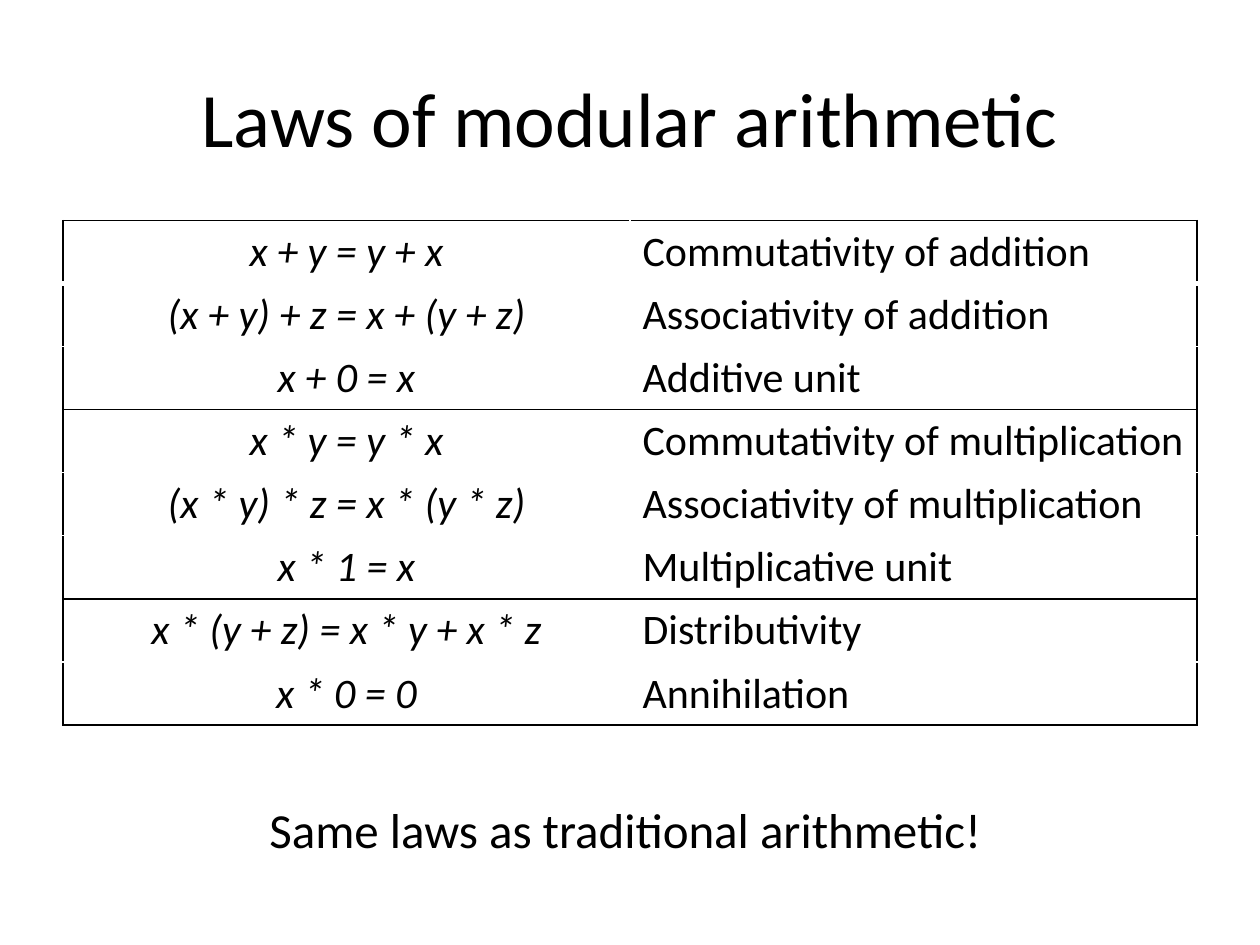
from lxml.etree import SubElement
from pptx import Presentation
from pptx.dml.color import RGBColor
from pptx.enum.text import MSO_ANCHOR as Anchor, PP_ALIGN as Align
from pptx.oxml.ns import qn
from pptx.util import Inches, Pt

TITLE = "Laws of modular arithmetic"
REMARK = "Same laws as traditional arithmetic!"
LAW_GROUPS = [
    [("x + y = y + x", "Commutativity of addition"),
     ("(x + y) + z = x + (y + z)", "Associativity of addition"),
     ("x + 0 = x", "Additive unit")],
    [("x * y = y * x", "Commutativity of multiplication"),
     ("(x * y) * z = x * (y * z)", "Associativity of multiplication"),
     ("x * 1 = x", "Multiplicative unit")],
    [("x * (y + z) = x * y + x * z", "Distributivity"),
     ("x * 0 = 0", "Annihilation")],
]
FONT, INK, PAPER = "Calibri", "000000", "FFFFFF"
WIDTH, HEIGHT = 10, 7.5
MARGIN = WIDTH * 0.05
CONTENT_WIDTH = WIDTH - 2 * MARGIN
ROW_HEIGHT = 0.5


def color(value):
    """Turn a hex string into a colour."""
    return RGBColor.from_string(value)


def write(frame, text, size, align, italic=False):
    """Put one formatted line into a text frame."""
    frame.text = text
    line = frame.paragraphs[0]
    line.alignment = align
    font = line.runs[0].font
    font.name, font.size, font.italic = FONT, Pt(size), italic
    font.color.rgb = color(INK)


def add_line(slide, text, size, box, align, wrap):
    """Add a text box that holds one line."""
    frame = slide.shapes.add_textbox(*map(Inches, box)).text_frame
    frame.word_wrap = wrap
    frame.vertical_anchor = Anchor.MIDDLE if wrap else Anchor.TOP
    write(frame, text, size, align)


def set_borders(cell, left, right, top, bottom, bottom_width=1):
    """Draw the four borders of a cell, in ink where a side is true."""
    properties = cell._tc.get_or_add_tcPr()
    for side, inked in zip("LRTB", (left, right, top, bottom)):
        width = bottom_width if side == "B" else 1
        border = SubElement(properties, qn(f"a:ln{side}"), w=str(Pt(width)))
        fill = SubElement(border, qn("a:solidFill"))
        SubElement(fill, qn("a:srgbClr"), val=INK if inked else PAPER)


def add_laws(slide):
    """Add the table of laws, ruled between groups."""
    rows = [(law, law is group[0], law is group[-1]) for group in LAW_GROUPS for law in group]
    table = slide.shapes.add_table(
        len(rows), 2, Inches(MARGIN), Inches(1.75),
        Inches(CONTENT_WIDTH), Inches(ROW_HEIGHT * len(rows))).table
    table.first_row = table.horz_banding = False
    for r, ((formula, name), opens, closes) in enumerate(rows):
        formula_cell, name_cell = table.cell(r, 0), table.cell(r, 1)
        write(formula_cell.text_frame, formula, 24, Align.CENTER, italic=True)
        write(name_cell.text_frame, name, 24, Align.LEFT)
        bottom_width = 3 if r == 0 else 1
        set_borders(formula_cell, True, False, opens, closes, bottom_width)
        set_borders(name_cell, False, True, opens, closes, bottom_width)
        for cell in (formula_cell, name_cell):
            cell.fill.background()


def main():
    """Build the slide and save it."""
    deck = Presentation()
    deck.slide_width, deck.slide_height = Inches(WIDTH), Inches(HEIGHT)
    slide = deck.slides.add_slide(deck.slide_layouts[6])
    add_line(slide, TITLE, 44, (MARGIN, 0.3, CONTENT_WIDTH, 1.25), Align.CENTER, True)
    add_laws(slide)
    add_line(slide, REMARK, 28, (2.04, 6.3, 5.91, 0.57), Align.LEFT, False)
    deck.save("out.pptx")


if __name__ == "__main__":
    main()
